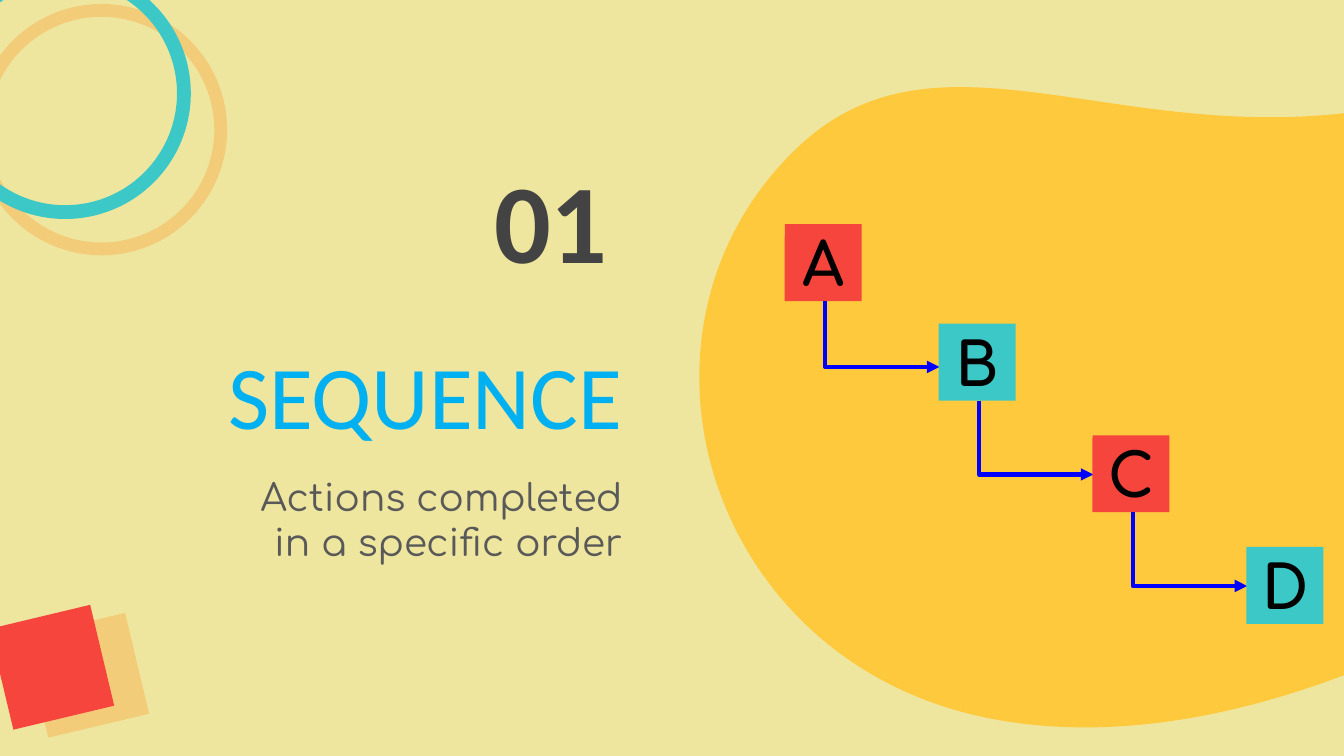
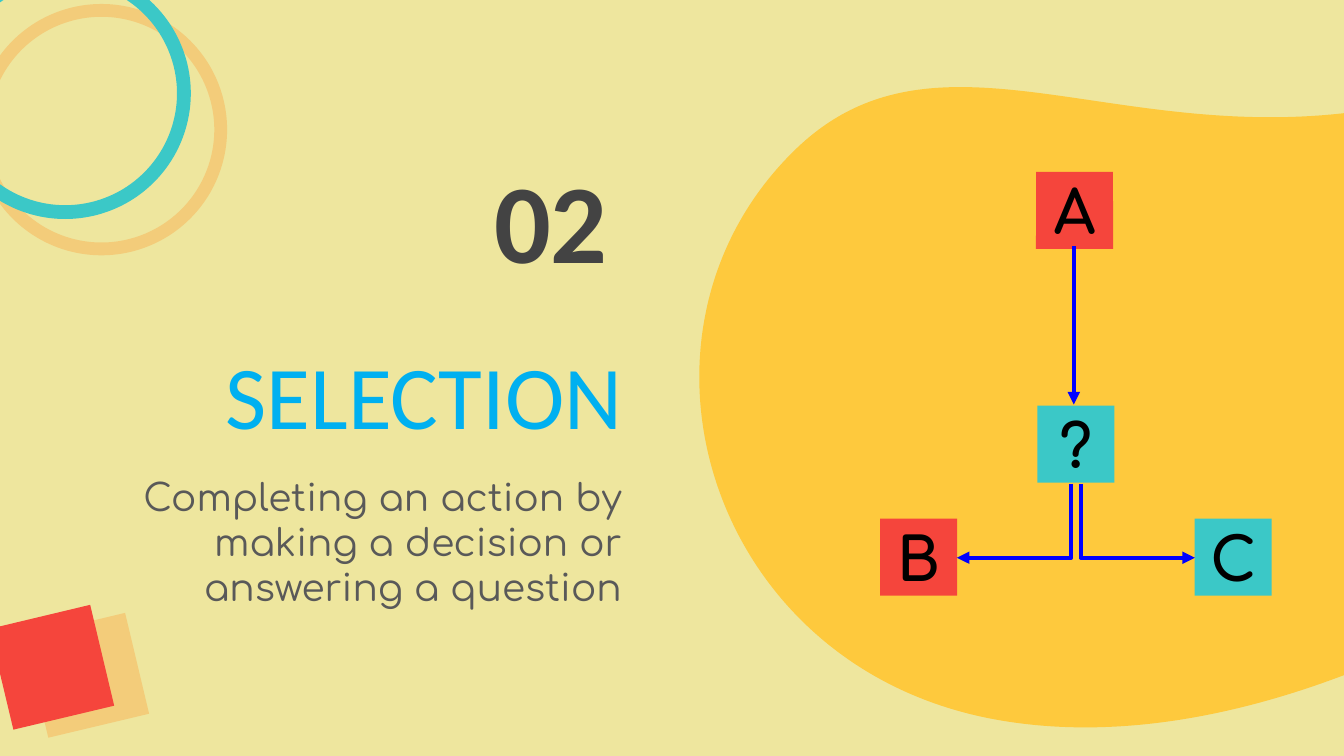
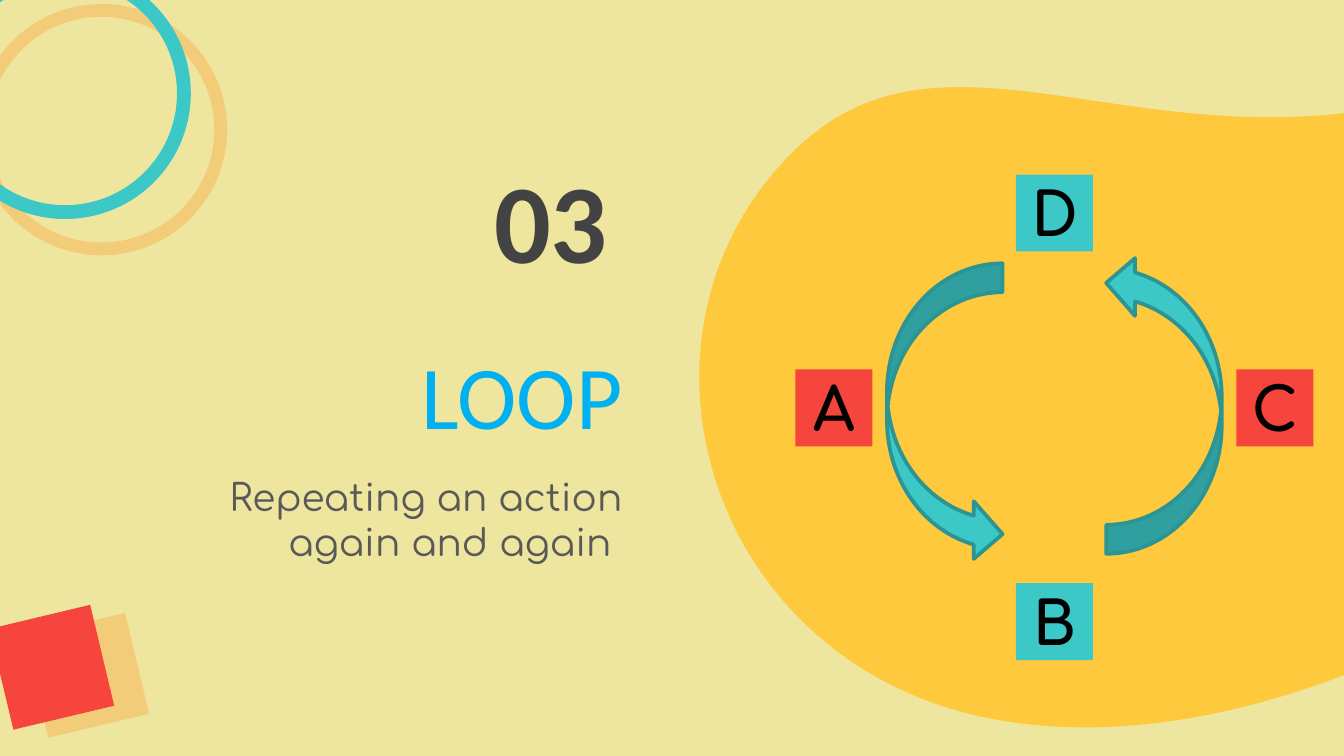
from math import cos, radians, sin

from lxml import etree
from pptx import Presentation
from pptx.dml.color import RGBColor
from pptx.enum.shapes import MSO_CONNECTOR, MSO_SHAPE
from pptx.enum.text import MSO_ANCHOR, MSO_AUTO_SIZE, PP_ALIGN
from pptx.oxml.ns import qn
from pptx.util import Inches, Pt

SAND = RGBColor(0xEE, 0xE6, 0x9E)
PEACH = RGBColor(0xF3, 0xCC, 0x7A)
TEAL = RGBColor(0x3B, 0xC8, 0xC7)
DARK_TEAL = RGBColor(0x2C, 0x94, 0x93)
RED = RGBColor(0xF5, 0x45, 0x3C)
AMBER = RGBColor(0xFE, 0xC9, 0x3D)
SKY = RGBColor(0x00, 0xB0, 0xF0)
BLUE = RGBColor(0x00, 0x00, 0xFF)
CHARCOAL = RGBColor(0x43, 0x43, 0x43)
GREY = RGBColor(0x59, 0x59, 0x59)
BLACK = RGBColor(0, 0, 0)

HEADING_FONT, BODY_FONT = "Calibri", "Comfortaa"
DONUT, DIAMOND = MSO_SHAPE.DONUT, MSO_SHAPE.DIAMOND
CURVED_ARROW = MSO_SHAPE.CURVED_RIGHT_ARROW
STRAIGHT, ELBOW = MSO_CONNECTOR.STRAIGHT, MSO_CONNECTOR.ELBOW
TOP, MIDDLE, BOTTOM = MSO_ANCHOR.TOP, MSO_ANCHOR.MIDDLE, MSO_ANCHOR.BOTTOM
RIGHT, CENTER = PP_ALIGN.RIGHT, PP_ALIGN.CENTER
FIT_SHAPE = MSO_AUTO_SIZE.SHAPE_TO_FIT_TEXT

# All lengths are cells of a square grid, 100 columns across the slide.
COLUMNS = 100
TILE = 8.1
LABEL_WIDTH, LABEL_HEIGHT = 5.4, 6.4
LABEL_DROP = 0.9

POOL_TILT = 40.3
POOL_CENTRE = (94.7, 23.05)
POOL_CURVES = [
    (118.1, 40.6),
    (118.1, 40.6), (95.5, 57.4), (74.1, 53.5),
    (52.7, 49.6), (45.3, 24.9), (59, 11.3),
    (72.7, -2.4), (91.3, 19.2), (120.7, 0.9),
    (133, -6.7), (151.8, 11.9), (118.1, 40.6),
]


class Deck:
    def __init__(self):
        self.presentation = Presentation()
        self.presentation.slide_width = Inches(10)
        self.presentation.slide_height = Inches(5.625)
        self.cell = self.presentation.slide_width / COLUMNS
        self.page = None

    def lengths(self, *cells):
        return [round(cell * self.cell) for cell in cells]

    def add_page(self, number, title, summary):
        layout = self.presentation.slide_layouts[6]
        self.page = self.presentation.slides.add_slide(layout)
        fill = self.page.background.fill
        fill.solid()
        fill.fore_color.rgb = SAND
        self.ornaments()
        self.pool()
        self.text(title, (9.4, 24.6, 37.9, 9.7), 48, SKY, HEADING_FONT, anchor=BOTTOM)
        self.text(summary, (7.5, 34.3, 39.75, 9.9) if len(summary) > 40
                  else (15.8, 34.3, 31.5, 9.9), 20, GREY, BODY_FONT)
        box = self.text(number, (27, 10.7, 19.2, 9.7), 60, CHARCOAL, HEADING_FONT,
                        anchor=MIDDLE, bold=True)
        box.text_frame.paragraphs[0].line_spacing = 1.15

    def shape(self, kind, frame, color, rotation=0):
        shape = self.page.shapes.add_shape(kind, *self.lengths(*frame))
        shape.rotation = rotation
        self.paint(shape, color)
        return shape

    def paint(self, shape, color):
        shape.shadow.inherit = False
        shape.fill.solid()
        shape.fill.fore_color.rgb = color
        shape.line.fill.background()

    def ornaments(self):
        for left, top, ring, color in ((-1.8, 0.3, 0.051, PEACH),
                                       (-4.5, -2.4, 0.055, TEAL)):
            donut = self.shape(DONUT, (left, top, 18.7, 18.7), color)
            donut.adjustments[0] = ring
        for left, top, color in ((1, 44.8, PEACH), (-1.6, 44.2, RED)):
            self.shape(DIAMOND, (left, top, 10.9, 10.9), color, rotation=301.6)

    def pool(self):
        """Draw the tilted amber outline, its straight runs turned into curves."""
        centre_x, centre_y = POOL_CENTRE
        cosine, sine = cos(radians(POOL_TILT)), sin(radians(POOL_TILT))
        points = []
        for x, y in POOL_CURVES:
            across, down = x - centre_x, y - centre_y
            points.append(self.lengths(centre_x + across * cosine + down * sine,
                                       centre_y - across * sine + down * cosine))
        builder = self.page.shapes.build_freeform(*points[0])
        builder.add_line_segments(points[1:], close=True)
        pool = builder.convert_to_shape()
        pool.rotation = POOL_TILT
        self.paint(pool, AMBER)
        outline = next(pool._element.iter(qn("a:path")))
        segments = outline.findall(qn("a:lnTo"))
        for first, second, third in zip(segments[::3], segments[1::3], segments[2::3]):
            curve = etree.Element(qn("a:cubicBezTo"))
            first.addprevious(curve)
            for segment in (first, second, third):
                curve.append(segment[0])
                outline.remove(segment)

    def text(self, words, frame, size, color, font, align=RIGHT, anchor=TOP,
             bold=False, inset=1):
        box = self.page.shapes.add_textbox(*self.lengths(*frame))
        text_frame = box.text_frame
        text_frame.word_wrap = True
        text_frame.vertical_anchor = anchor
        text_frame.margin_top, text_frame.margin_bottom = self.lengths(inset, inset)
        text_frame.text = words
        para = text_frame.paragraphs[0]
        para.alignment = align
        span = para.runs[0].font
        span.name, span.size, span.bold = font, Pt(size), bold
        span.color.rgb = color
        return box

    def tile(self, letter, left, top, color):
        """Add a square, made of a turned diamond, with a letter on it."""
        self.shape(DIAMOND, (left, top, TILE, TILE), color, rotation=45)
        frame = (left + (TILE - LABEL_WIDTH) / 2, top + LABEL_DROP,
                 LABEL_WIDTH, LABEL_HEIGHT)
        label = self.text(letter, frame, 32, BLACK, BODY_FONT, align=CENTER,
                          bold=True, inset=0.5)
        label.text_frame.word_wrap = False
        label.text_frame.auto_size = FIT_SHAPE

    def arrow(self, kind, *ends):
        connector = self.page.shapes.add_connector(kind, *self.lengths(*ends))
        connector.line.color.rgb = BLUE
        connector.line.width = Pt(2.25)
        properties = connector._element.spPr
        line = properties.find(qn("a:ln"))
        etree.SubElement(line, qn("a:tailEnd"), type="triangle")
        etree.SubElement(properties, qn("a:effectLst"))
        return connector

    def elbow_arrow(self, left, top, across, down):
        """Go down, then sideways: a one-bend connector turned a quarter."""
        middle_x, middle_y = left + across / 2, top + down / 2
        connector = self.arrow(ELBOW, middle_x - down / 2, middle_y + across / 2,
                               middle_x + down / 2, middle_y - across / 2)
        properties = connector._element.spPr
        properties.find(qn("a:xfrm")).set("rot", "5400000")
        properties.find(qn("a:prstGeom")).set("prst", "bentConnector2")

    def loop_arrow(self, left, top, rotation):
        shape = self.shape(CURVED_ARROW, (left, top, 8.6, 22.3), TEAL, rotation)
        shape.line.color.rgb = DARK_TEAL
        shape.line.width = Pt(2)


def add_sequence(deck):
    deck.add_page("01", "SEQUENCE", "Actions completed in a specific order")
    steps = [("A", 15.5, RED), ("B", 22.9, TEAL), ("C", 31.2, RED), ("D", 39.5, TEAL)]
    for index, (letter, top, color) in enumerate(steps):
        left = 57.2 + 11.45 * index
        deck.tile(letter, left, top, color)
        if letter != "D":
            deck.elbow_arrow(left + 4.2, top + 6.9, 8.5, 4.9 if index == 0 else 5.5)


def add_selection(deck):
    deck.add_page("02", "SELECTION",
                  "Completing an action by making a decision or answering a question")
    deck.tile("?", 76, 29, TEAL)
    deck.tile("A", 75.9, 11.6, RED)
    deck.tile("C", 87.7, 37.4, TEAL)
    deck.tile("B", 64.3, 37.4, RED)
    deck.arrow(STRAIGHT, 79.9, 18.3, 79.9, 30.1)
    deck.elbow_arrow(80.4, 36, 8.5, 5.5)
    deck.elbow_arrow(79.7, 36, -8.5, 5.5)


def add_loop(deck):
    deck.add_page("03", "LOOP", "Repeating an action again and again ")
    deck.loop_arrow(66, 19.6, 0)
    deck.loop_arrow(82.3, 18.9, 180)
    deck.tile("A", 58, 26.3, RED)
    deck.tile("B", 74.4, 42.2, TEAL)
    deck.tile("C", 90.8, 26.3, RED)
    deck.tile("D", 74.4, 11.8, TEAL)


def main():
    deck = Deck()
    add_sequence(deck)
    add_selection(deck)
    add_loop(deck)
    deck.presentation.save("out.pptx")


if __name__ == "__main__":
    main()
